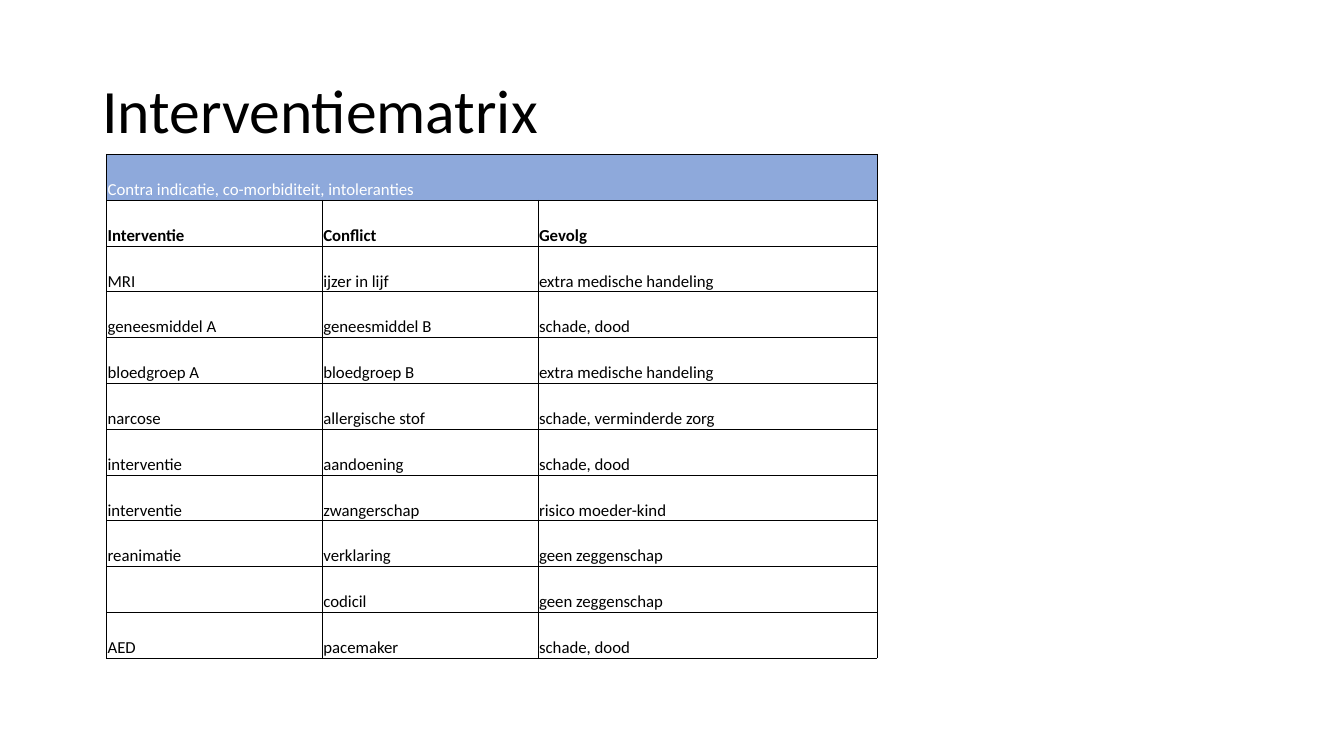
from lxml import etree
from pptx import Presentation
from pptx.dml.color import RGBColor
from pptx.enum import text
from pptx.oxml import ns
from pptx.util import Pt

TITLE = "Interventiematrix"
CAPTION = "Contra indicatie, co-morbiditeit, intoleranties"
HEADINGS = ("Interventie", "Conflict", "Gevolg")
INTERVENTIONS = [
    ("MRI", "ijzer in lijf", "extra medische handeling"),
    ("geneesmiddel A", "geneesmiddel B", "schade, dood"),
    ("bloedgroep A", "bloedgroep B", "extra medische handeling"),
    ("narcose", "allergische stof", "schade, verminderde zorg"),
    ("interventie", "aandoening", "schade, dood"),
    ("interventie", "zwangerschap", "risico moeder-kind"),
    ("reanimatie", "verklaring", "geen zeggenschap"),
    ("", "codicil", "geen zeggenschap"),
    ("AED", "pacemaker", "schade, dood"),
]
THEME = {
    "font": "Calibri", "title_size": 44, "cell_size": 12,
    "ink": "000000", "caption_ink": "FFFFFF", "caption_fill": "8EA9DB",
    "border": 0.5,
}
COLUMN_WIDTHS = (154.1, 154.1, 242)
MATRIX_LEFT, MATRIX_TOP, MATRIX_HEIGHT = 76.2, 110.2, 360


def add_run(paragraph, words, size, color, bold=False):
    run = paragraph.add_run()
    run.text = words
    run.font.name = THEME["font"]
    run.font.size = Pt(size)
    run.font.bold = bold
    run.font.color.rgb = RGBColor.from_string(color)


def add_borders(cell):
    properties = cell._tc.get_or_add_tcPr()
    for position, side in enumerate(("lnL", "lnR", "lnT", "lnB")):
        border = etree.Element(ns.qn("a:" + side), w=str(Pt(THEME["border"])))
        fill = etree.SubElement(border, ns.qn("a:solidFill"))
        etree.SubElement(fill, ns.qn("a:srgbClr"), val=THEME["ink"])
        properties.insert(position, border)


def format_cell(cell, fill=None):
    cell.vertical_anchor = text.MSO_ANCHOR.BOTTOM
    cell.margin_left = cell.margin_right = cell.margin_top = Pt(0.7)
    cell.margin_bottom = 0
    if fill:
        cell.fill.solid()
        cell.fill.fore_color.rgb = RGBColor.from_string(fill)
    else:
        cell.fill.background()
    add_borders(cell)


def add_title(slide):
    frame = slide.shapes.add_textbox(Pt(66), Pt(28.8), Pt(828), Pt(104.4)).text_frame
    frame.word_wrap = True
    frame.vertical_anchor = text.MSO_ANCHOR.MIDDLE
    frame.paragraphs[0].line_spacing = 0.9
    add_run(frame.paragraphs[0], TITLE, THEME["title_size"], THEME["ink"])


def add_matrix(slide):
    rows = [(CAPTION, "", ""), HEADINGS, *INTERVENTIONS]
    matrix = slide.shapes.add_table(
        len(rows), len(COLUMN_WIDTHS), Pt(MATRIX_LEFT), Pt(MATRIX_TOP),
        Pt(sum(COLUMN_WIDTHS)), Pt(MATRIX_HEIGHT)).table
    matrix.first_row = matrix.horz_banding = False
    for column, width in zip(matrix.columns, COLUMN_WIDTHS):
        column.width = Pt(width)
    for r, row in enumerate(rows):
        matrix.rows[r].height = Pt(MATRIX_HEIGHT / len(rows))
        is_caption = r == 0
        for c, words in enumerate(row):
            cell = matrix.cell(r, c)
            format_cell(cell, THEME["caption_fill"] if is_caption else None)
            if words:
                add_run(cell.text_frame.paragraphs[0], words, THEME["cell_size"],
                        THEME["caption_ink" if is_caption else "ink"],
                        row is HEADINGS)
    matrix.cell(0, 0).merge(matrix.cell(0, len(COLUMN_WIDTHS) - 1))


def main():
    deck = Presentation()
    deck.slide_width, deck.slide_height = Pt(960), Pt(540)
    slide = deck.slides.add_slide(deck.slide_layouts[6])
    add_title(slide)
    add_matrix(slide)
    deck.save("out.pptx")


if __name__ == "__main__":
    main()
